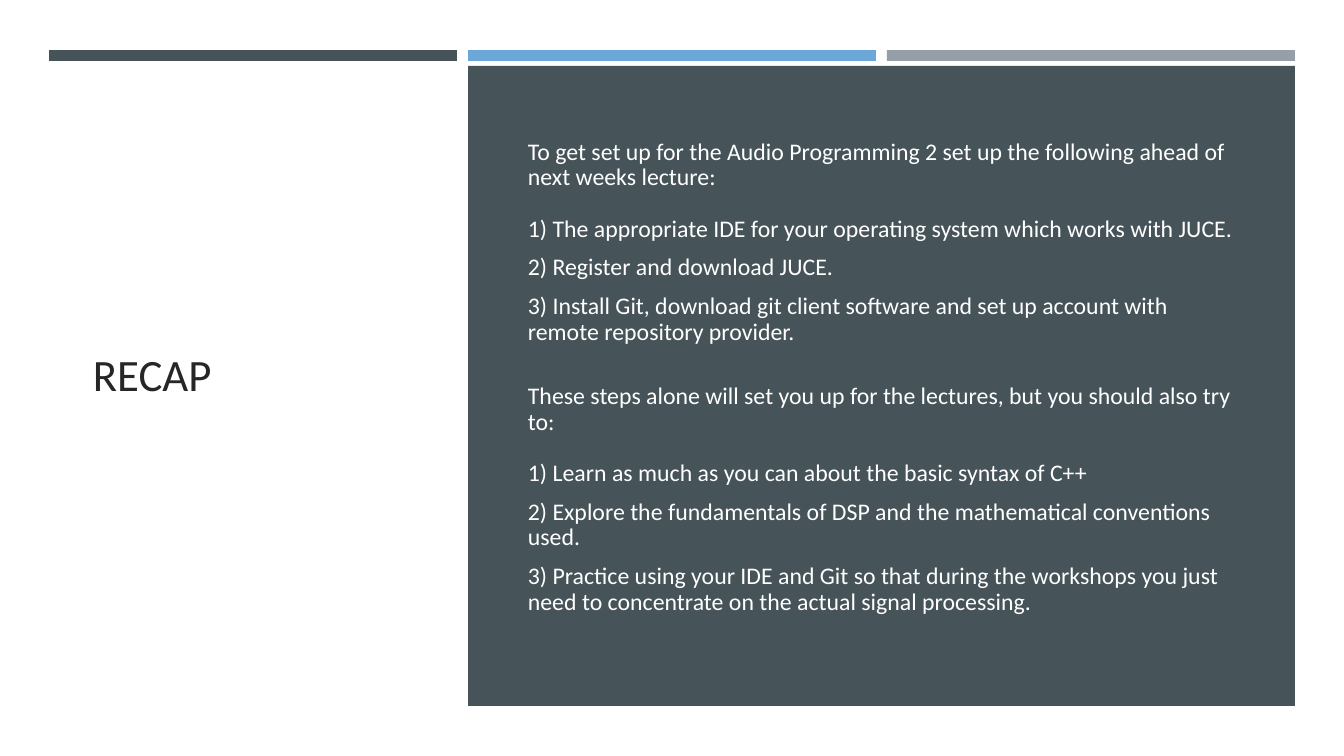
"""Build the recap slide with its three accent bars and text panel."""
from pptx import Presentation
from pptx.dml.color import RGBColor
from pptx.enum.shapes import MSO_SHAPE
from pptx.enum.text import MSO_ANCHOR
from pptx.util import Pt

RECT = MSO_SHAPE.RECTANGLE
MIDDLE = MSO_ANCHOR.MIDDLE
PX = 914400 / 100.8
SLATE, BLUE, GREY, WHITE, INK = "465359", "6BA7D8", "969FA7", "FFFFFF", "262626"
STEP, LIST_START, SECTION = 9.2, 18.4, 27.6


def add_bar(x, y, w, h, color):
    s = slide.shapes.add_shape(RECT, *[round(v * PX) for v in (x, y, w, h)])
    s.fill.solid()
    s.fill.fore_color.rgb = RGBColor.from_string(color)
    s.line.fill.background()
    s.shadow.inherit = False


def add_text(x, y, w, h, paragraphs, size, color):
    s = slide.shapes.add_textbox(*[round(v * PX) for v in (x, y, w, h)])
    tf = s.text_frame
    tf.word_wrap = True
    tf.vertical_anchor = MIDDLE
    tf.text = "\n".join(text for _, text in paragraphs)
    for p, (gap, _) in zip(tf.paragraphs, paragraphs):
        p.line_spacing = 0.9
        p.space_before = Pt(gap)
        font = p.runs[0].font
        font.name = "Calibri"
        font.size = Pt(size)
        font.color.rgb = RGBColor.from_string(color)


prs = Presentation()
prs.slide_width, prs.slide_height = round(1344 * PX), round(756 * PX)
slide = prs.slides.add_slide(prs.slide_layouts[6])
slide.background.fill.solid()
slide.background.fill.fore_color.rgb = RGBColor.from_string(WHITE)

for i, color in enumerate((SLATE, BLUE, GREY)):
    add_bar(49 + i * 419, 50, 408, 11, color)
add_bar(468, 66, 827, 640, SLATE)

add_text(83, 118, 337, 519, [(0, "RECAP")], 32, INK)

recap = [
    (0, "To get set up for the Audio Programming 2 set up the following ahead of next weeks lecture:"),
    (LIST_START, "1) The appropriate IDE for your operating system which works with JUCE."),
    (STEP, "2) Register and download JUCE."),
    (STEP, "3) Install Git, download git client software and set up account with remote repository provider."),
    (SECTION, "These steps alone will set you up for the lectures, but you should also try to:"),
    (LIST_START, "1) Learn as much as you can about the basic syntax of C++"),
    (STEP, "2) Explore the fundamentals of DSP and the mathematical conventions used."),
    (STEP, "3) Practice using your IDE and Git so that during the workshops you just need to "
           "concentrate on the actual signal processing."),
]
add_text(518, 118, 728, 519, recap, 17, WHITE)

prs.save("out.pptx")
